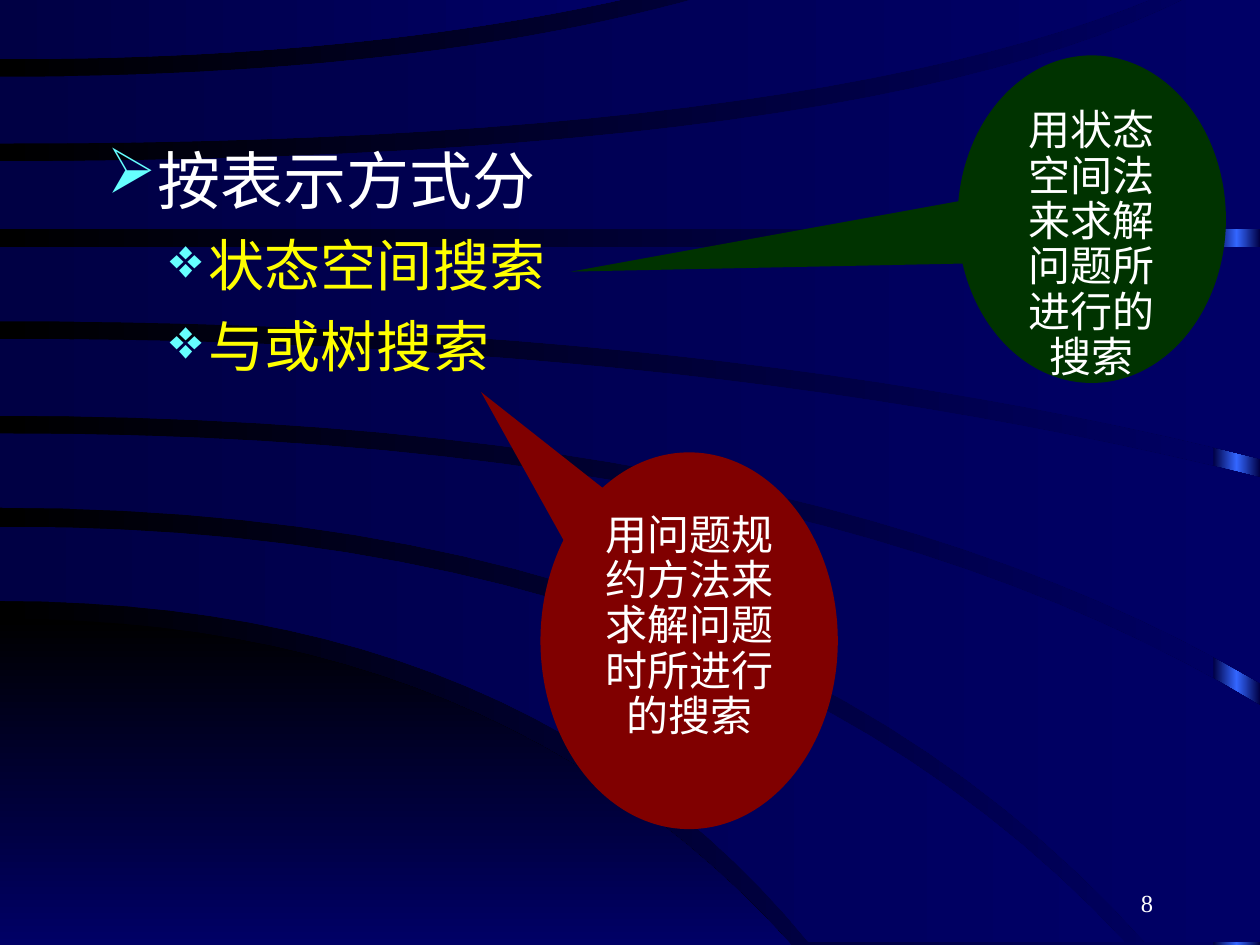
from copy import deepcopy

from lxml.etree import SubElement
from pptx import Presentation
from pptx.dml.color import RGBColor
from pptx.enum.shapes import MSO_SHAPE
from pptx.enum.text import MSO_ANCHOR, PP_ALIGN
from pptx.oxml.ns import qn
from pptx.util import Inches, Pt

BLACK = RGBColor(0x00, 0x00, 0x00)
NAVY = RGBColor(0x00, 0x00, 0x44)
BLUE = RGBColor(0x00, 0x00, 0x66)
GLOW = RGBColor(0x33, 0x66, 0xFF)
WHITE = RGBColor(0xFF, 0xFF, 0xFF)
YELLOW = RGBColor(0xFF, 0xFF, 0x00)
CYAN = RGBColor(0x66, 0xFF, 0xFF)
GREEN = RGBColor(0x00, 0x33, 0x00)
MAROON = RGBColor(0x80, 0x00, 0x00)

CJK_FONT = "Noto Sans CJK SC"
NUMBER_FONT = "Times New Roman"
CURVE_STEPS = 24

# Each edge is (start y, bend x, end x, end y); a band lies between two edges.
CORNER = ((4.91, 3.95, 6.28, 7.5), (7.5, 3.14, 6.28, 7.5))
BANDS = [
    ((4.18, 5.85, 8.93, 7.48), (4.77, 4.2, 6.42, 7.48)),
    ((3.44, 6.45, 10, 5.6), (4.03, 6, 9.09, 7.48), (10, 7.48)),
    ((2.69, 5.6, 10, 3.79), (3.3, 6.4, 10, 5.42)),
    ((1.96, 5, 10, 1.96), (2.55, 5.7, 10, 3.64)),
    ((1.28, 6.85, 9.43, -0.02), (1.82, 5, 10, 1.82), (10, -0.02)),
    ((0.61, 3.3, 5.56, -0.02), (1.14, 6.35, 9.17, -0.02)),
    ((-0.02, 2.5, 5.01, -0.02), (0.47, 2.85, 5.01, -0.02)),
]


def curve(start_y, bend_x, end_x, end_y):
    """Points of a curve that leaves the left edge of the slide horizontally."""
    points = []
    for step in range(CURVE_STEPS + 1):
        t = step / CURVE_STEPS
        x = 2 * bend_x * t * (1 - t) + end_x * t * t
        points.append((x, start_y + (end_y - start_y) * t * t))
    return points


def set_gradient(fill, colors, angle=0):
    """Spread the colours evenly; the angle runs counter-clockwise."""
    fill.gradient()
    fill.gradient_angle = angle
    first = fill._fill._gradFill.gsLst[0]
    for _ in colors[2:]:
        first.addnext(deepcopy(first))
    for index, (stop, color) in enumerate(zip(fill.gradient_stops, colors)):
        stop.position = index / (len(colors) - 1)
        stop.color.rgb = color


def write(para, text, size, color=WHITE, font=CJK_FONT, align=PP_ALIGN.LEFT,
          before=0, spacing=None):
    para.alignment = align
    para.space_before = Pt(before)
    if spacing:
        para.line_spacing = spacing
    span = para.add_run()
    span.text = text
    span.font.size = Pt(size)
    span.font.color.rgb = color
    span.font.name = font
    SubElement(span.font._element, qn("a:ea"), typeface=font)


def add_bullet(para, symbol, margin, hanging):
    properties = para._p.get_or_add_pPr()
    properties.set("marL", str(Inches(margin)))
    properties.set("indent", str(-Inches(hanging)))
    color = SubElement(properties, qn("a:buClr"))
    SubElement(color, qn("a:srgbClr"), val=str(CYAN))
    SubElement(properties, qn("a:buChar"), char=symbol)


class SlideBuilder:
    def __init__(self, page):
        self.page = page
        self.shapes = page.shapes

    def finish(self, shape):
        """Remove the shadow and the outline."""
        shape.shadow.inherit = False
        shape.line.fill.background()
        return shape

    def band(self, upper, lower, *corners, colors=(NAVY, BLUE), angle=0):
        points = [*curve(*upper), *corners, *reversed(curve(*lower))]
        places = [(Inches(x), Inches(y)) for x, y in points]
        builder = self.shapes.build_freeform(*places[0])
        builder.add_line_segments(places[1:], close=True)
        set_gradient(self.finish(builder.convert_to_shape()).fill, colors, angle)

    def strip(self, *place, colors):
        shape = self.shapes.add_shape(MSO_SHAPE.RECTANGLE, *map(Inches, place))
        set_gradient(self.finish(shape).fill, colors)

    def text_box(self, *place, anchor=MSO_ANCHOR.TOP):
        frame = self.shapes.add_textbox(*map(Inches, place)).text_frame
        frame.word_wrap = True
        frame.vertical_anchor = anchor
        return frame

    def callout(self, *place, text, color, tip):
        shape = self.shapes.add_shape(MSO_SHAPE.OVAL_CALLOUT, *map(Inches, place))
        self.finish(shape)
        shape.fill.solid()
        shape.fill.fore_color.rgb = color
        shape.adjustments[0], shape.adjustments[1] = tip
        frame = shape.text_frame
        frame.word_wrap = True
        frame.vertical_anchor = MSO_ANCHOR.TOP
        write(frame.paragraphs[0], text, 24, align=PP_ALIGN.CENTER, spacing=0.9)


def main():
    deck = Presentation()
    deck.slide_width, deck.slide_height = Inches(10), Inches(7.5)
    page = deck.slides.add_slide(deck.slide_layouts[6])
    set_gradient(page.background.fill, [BLACK, BLUE])
    builder = SlideBuilder(page)

    builder.strip(9.63, 0, 0.37, 7.5, colors=[NAVY, GLOW, NAVY])
    builder.band(*CORNER, colors=(BLACK, BLUE), angle=270)
    for band in BANDS:
        builder.band(*band)

    number = builder.text_box(7.17, 6.83, 2.08, 0.5, anchor=MSO_ANCHOR.BOTTOM)
    write(number.paragraphs[0], "8", 14, font=NUMBER_FONT, align=PP_ALIGN.RIGHT)

    body = builder.text_box(0.75, 1.07, 5.98, 5.59)
    heading = body.paragraphs[0]
    add_bullet(heading, "➢", 0.38, 0.38)
    write(heading, "按表示方式分", 36)
    for text in ("状态空间搜索", "与或树搜索"):
        para = body.add_paragraph()
        para.level = 1
        add_bullet(para, "❖", 0.81, 0.31)
        write(para, text, 32, color=YELLOW, before=8)

    builder.callout(7.6, 0.44, 2.13, 2.6, text="用状态空间法来求解问题所进行的搜索",
                    color=GREEN, tip=(-1.94, 0.16))
    builder.callout(4.29, 3.59, 2.36, 2.99, text="用问题规约方法来求解问题时所进行的搜索",
                    color=MAROON, tip=(-0.7, -0.66))
    deck.save("out.pptx")


if __name__ == "__main__":
    main()
